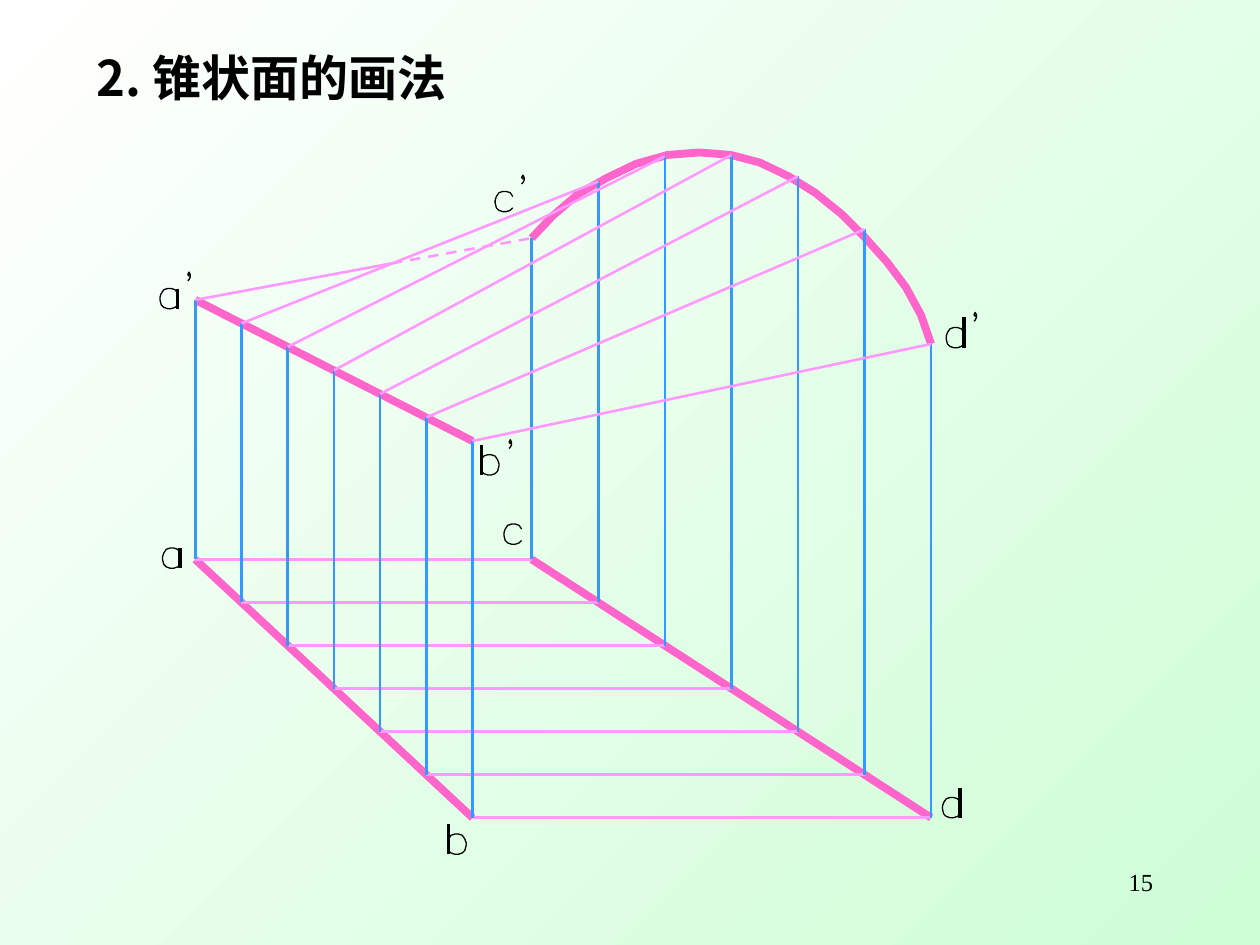
import pptx
import pptx.dml.color
import pptx.enum.dml
import pptx.enum.shapes
import pptx.enum.text
import pptx.oxml
import pptx.oxml.ns
import pptx.util

PINK, LILAC, BLUE, BLACK = "FF66CC", "FF99FF", "3399FF", "000000"
THICK, THIN, HAIRLINE = 4.5, 1.5, 0
COLUMNS, ROWS = 100, 75

BOWL = [(1.4, 0.4), (1.2, 0.1), (0.9, 0), (0.6, 0), (0.3, 0.1), (0.1, 0.4), (0, 0.7),
        (0, 0.9), (0.1, 1.3), (0.3, 1.5), (0.6, 1.6), (0.9, 1.6), (1.2, 1.5), (1.4, 1.3)]
PRIME = [(0.2, 0.2), (0.1, 0.3), (0, 0.2), (0.1, 0), (0.2, 0.2), (0.2, 0.4),
         (0.1, 0.6), (0, 0.7)]
STEMS = {"a": (1.4, 0), "b": (0, -0.8), "d": (1.4, -0.8)}


def color(hex_string):
    return pptx.dml.color.RGBColor.from_string(hex_string)


class Drawing:
    """Draws styled elements on one slide, placed by grid columns and rows."""

    def __init__(self):
        self.deck = pptx.Presentation()
        self.deck.slide_width = pptx.util.Inches(10)
        self.deck.slide_height = pptx.util.Inches(7.5)
        self.slide = self.deck.slides.add_slide(self.deck.slide_layouts[6])

    def place(self, column, row):
        return (round(column * self.deck.slide_width / COLUMNS),
                round(row * self.deck.slide_height / ROWS))

    def background(self, start, end):
        fill = self.slide.background.fill
        fill.gradient()
        fill.gradient_angle = 135
        for stop, position, hex_string in zip(fill.gradient_stops, (0, 1), (start, end)):
            stop.position = position
            stop.color.rgb = color(hex_string)

    def text(self, words, corner, size, font, points, bold=False, align="LEFT", anchor="TOP"):
        frame = self.slide.shapes.add_textbox(*self.place(*corner), *self.place(*size)).text_frame
        frame.word_wrap = True
        frame.vertical_anchor = getattr(pptx.enum.text.MSO_ANCHOR, anchor)
        frame.text = words
        paragraph = frame.paragraphs[0]
        paragraph.alignment = getattr(pptx.enum.text.PP_ALIGN, align)
        style = paragraph.runs[0].font
        style.name, style.size, style.bold = font, pptx.util.Pt(points), bold
        style.color.rgb = color(BLACK)
        east_asian = pptx.oxml.parse_xml(
            f'<a:ea {pptx.oxml.ns.nsdecls("a")} typeface="{font}"/>')
        paragraph.runs[0].font._element.append(east_asian)

    def stroke(self, shape, hex_string, points):
        shape.line.color.rgb = color(hex_string)
        shape.line.width = pptx.util.Pt(points)

    def line(self, start, end, hex_string, points=THIN, dashed=False):
        connector = self.slide.shapes.add_connector(
            pptx.enum.shapes.MSO_CONNECTOR.STRAIGHT, *self.place(*start), *self.place(*end))
        self.stroke(connector, hex_string, points)
        if dashed:
            connector.line.dash_style = pptx.enum.dml.MSO_LINE.DASH
        connector._element.spPr.append(
            pptx.oxml.parse_xml(f'<a:effectLst {pptx.oxml.ns.nsdecls("a")}/>'))

    def curve(self, points, hex_string, width):
        first, *rest = [self.place(*point) for point in points]
        builder = self.slide.shapes.build_freeform(*first)
        builder.add_line_segments(rest, close=False)
        shape = builder.convert_to_shape()
        shape.shadow.inherit = False
        shape.fill.background()
        self.stroke(shape, hex_string, width)

    def letter(self, name, column, row, prime=None):
        bowl = [(1.4 - x, y) for x, y in BOWL] if name == "b" else BOWL
        self.curve([(column + x, row + y) for x, y in bowl], BLACK, HAIRLINE)
        if name in STEMS:
            x, top = STEMS[name]
            self.line((column + x, row + top), (column + x, row + 1.6), BLACK, HAIRLINE)
        if prime:
            self.curve([(prime[0] + x, prime[1] + y) for x, y in PRIME], BLACK, HAIRLINE)


def divide(start, end, parts=6):
    return [tuple(p + (q - p) * i / parts for p, q in zip(start, end))
            for i in range(parts + 1)]


def main():
    drawing = Drawing()
    drawing.background("CEFED6", "FFFFFF")
    drawing.text("2. 锥状面的画法", (6.7, 1.7), (85, 8.8), "Noto Sans CJK SC", 28,
                 bold=True, anchor="MIDDLE")

    front_line = divide((15.5, 23.8), (37.5, 35))
    plan_line = divide((15.5, 44.4), (37.5, 64.9))
    plan_arc = divide((42.2, 44.4), (73.9, 64.9))
    arc_rows = [18.9, 14.4, 12.4, 12.3, 14, 18.2, 27.3]
    front_arc = [(column, row) for (column, _), row in zip(plan_arc, arc_rows)]
    arc = [(42.2, 18.9), (43.9, 17.1), (45.9, 15.4), (48.2, 14.1), (50.5, 13), (53, 12.3),
           (55.5, 12.1), (58, 12.3), (60.3, 12.9), (62.6, 14), (64.7, 15.3), (66.8, 17),
           (68.6, 18.8), (70.4, 20.8), (71.9, 22.8), (73.1, 25), (73.9, 27.3)]

    for directrix in (front_line, plan_line, plan_arc):
        drawing.line(directrix[0], directrix[-1], PINK, THICK)
    drawing.curve(arc, PINK, THICK)

    drawing.letter("a", 12.9, 43.5)
    drawing.letter("b", 35.6, 66.2)
    drawing.letter("c", 40, 41.6)
    drawing.letter("d", 74.8, 63.3)
    drawing.letter("a", 12.7, 22.9, prime=(14.9, 21.6))
    drawing.letter("b", 38.2, 36.1, prime=(40.4, 34.9))
    drawing.letter("c", 39.3, 15.2, prime=(41.4, 13.9))
    drawing.letter("d", 75.1, 26, prime=(77.3, 24.8))

    for start, end in zip(plan_line, plan_arc):
        drawing.line(start, end, LILAC)
    for plan, front in zip(plan_line + plan_arc, front_line + front_arc):
        drawing.line(plan, front, BLUE)

    hidden_from = (31.1, 20.9)
    drawing.line(front_line[0], hidden_from, LILAC)
    for start, end in zip(front_line[1:], front_arc[1:]):
        drawing.line(start, end, LILAC)
    drawing.line(hidden_from, front_arc[0], LILAC, dashed=True)

    drawing.text("15", (71.7, 68.3), (20.8, 5), "Times New Roman", 14, align="RIGHT")
    drawing.deck.save("out.pptx")


if __name__ == "__main__":
    main()
